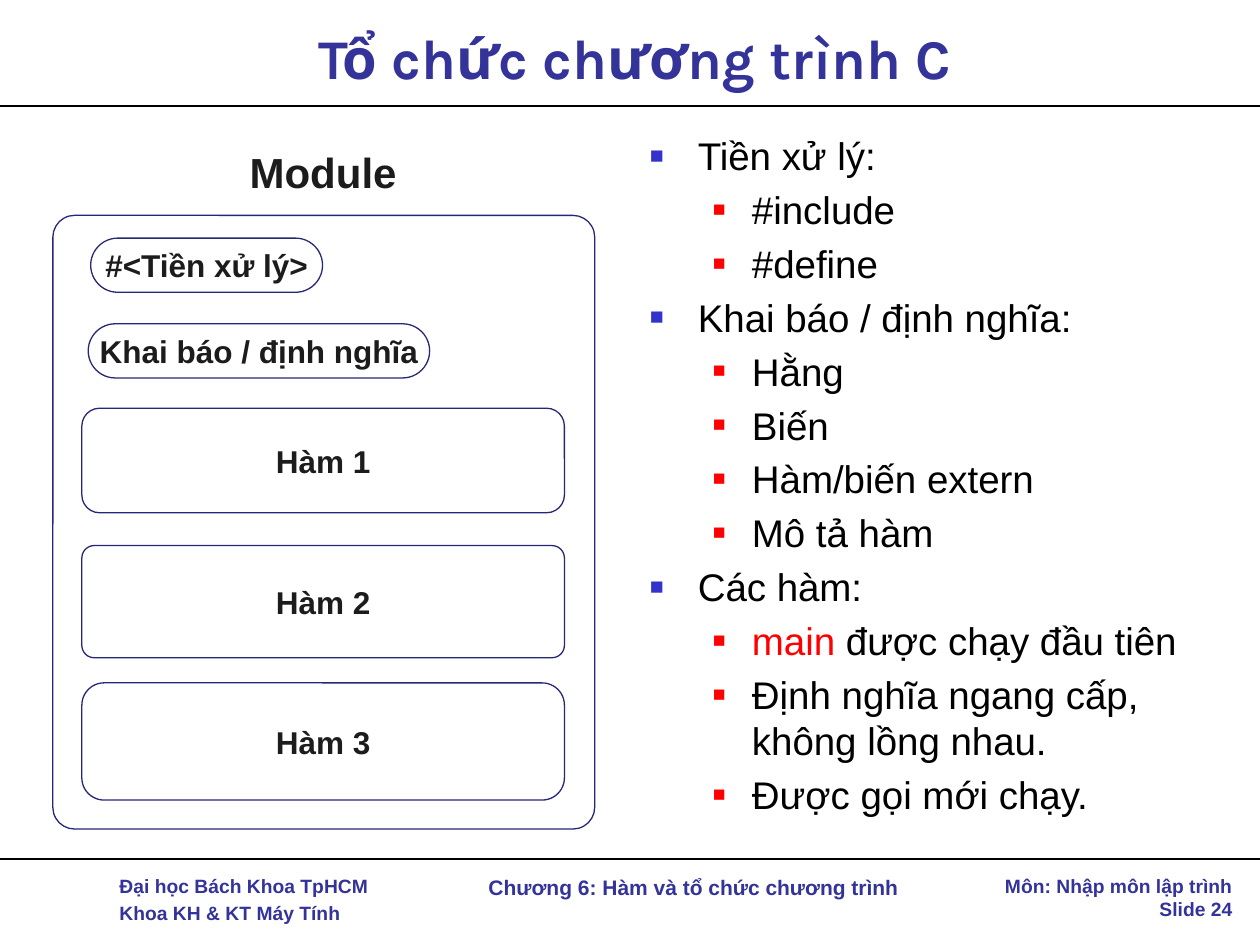
from dataclasses import dataclass

from lxml.etree import SubElement
from pptx import Presentation
from pptx.dml.color import RGBColor
from pptx.enum.shapes import MSO_CONNECTOR, MSO_SHAPE
from pptx.enum.text import MSO_ANCHOR as Anchor, PP_ALIGN as Align
from pptx.oxml.ns import qn
from pptx.util import Inches, Pt

NAVY = RGBColor(0x33, 0x33, 0x99)
OUTLINE = RGBColor(0x27, 0x27, 0x77)
CHARCOAL = RGBColor(0x1C, 0x1C, 0x1C)
BLUE = RGBColor(0x33, 0x33, 0xCC)
RED = RGBColor(0xFF, 0, 0)
BLACK = RGBColor(0, 0, 0)

PREPROCESSING = "Ti\u00ea\u0300n x\u01b0\u0309 ly\u0301"
DECLARATIONS = "Khai ba\u0301o / \u0111i\u0323nh nghi\u0303a"
FUNCTION = "Ha\u0300m"


@dataclass
class Label:
    text: str
    left: float
    top: float
    width: float
    height: float
    size: int
    align: Align = Align.CENTER
    font: str = "Arial"
    anchor: Anchor = Anchor.TOP
    gap: float = 0


@dataclass
class Block:
    text: str
    left: float
    top: float
    width: float
    height: float
    rounding: float
    size: int = 18
    outlined: bool = True


@dataclass
class Level:
    margin: float
    hanging: float
    color: RGBColor
    percent: int


@dataclass
class Point:
    text: str
    level: int = 1
    keyword: str = ""


LABELS = [
    Label("T\u00f4\u0309 ch\u01b0\u0301c ch\u01b0\u01a1ng tri\u0300nh C",
          0.33, 0.08, 9.42, 0.75, 32, font="Karla", anchor=Anchor.MIDDLE),
    Label("\u0110\u1ea1i h\u1ecdc B\u00e1ch Khoa TpHCM\nKhoa KH & KT M\u00e1y T\u00ednh",
          0.85, 6.89, 2.33, 0.51, 11, Align.LEFT, gap=2.2),
    Label("Ch\u01b0\u01a1ng 6: H\u00e0m v\u00e0 t\u1ed5 ch\u1ee9c ch\u01b0\u01a1ng tr\u00ecnh",
          3.18, 6.89, 4.65, 0.3, 12),
    Label("M\u00f4n: Nh\u1eadp m\u00f4n l\u1eadp tr\u00ecnh\nSlide 24",
          7.83, 6.89, 2.05, 0.47, 11, Align.RIGHT),
]

BLOCKS = [
    Block("", 0.42, 1.71, 4.3, 4.87, 0.04),
    Block("Module", 0.65, 1.08, 3.83, 0.57, 0.5, 24, False),
    Block(f"#<{PREPROCESSING}>", 0.72, 1.89, 1.84, 0.43, 0.5),
    Block(DECLARATIONS, 0.7, 2.57, 2.71, 0.43, 0.5),
    Block(f"{FUNCTION} 1", 0.65, 3.24, 3.83, 0.83, 0.17),
    Block(f"{FUNCTION} 2", 0.65, 4.33, 3.83, 0.89, 0.11),
    Block(f"{FUNCTION} 3", 0.65, 5.42, 3.83, 0.93, 0.19),
]

LEVELS = [Level(0.38, 0.38, BLUE, 60), Level(0.81, 0.31, RED, 55)]

POINTS = [
    Point(f"{PREPROCESSING}:", 0),
    Point("#include"),
    Point("#define"),
    Point(f"{DECLARATIONS}:", 0),
    Point("H\u0103\u0300ng"),
    Point("Bi\u00ea\u0301n"),
    Point(f"{FUNCTION}/bi\u00ea\u0301n extern"),
    Point("M\u00f4 ta\u0309 ha\u0300m"),
    Point("Ca\u0301c ha\u0300m:", 0),
    Point(" \u0111\u01b0\u01a1\u0323c cha\u0323y \u0111\u00e2\u0300u ti\u00ean", keyword="main"),
    Point("\u0110i\u0323nh nghi\u0303a ngang c\u00e2\u0301p, kh\u00f4ng l\u00f4\u0300ng nhau."),
    Point("\u0110\u01b0\u01a1\u0323c go\u0323i m\u01a1\u0301i cha\u0323y."),
]


def style(run, size: int, color: RGBColor, bold: bool = True, font: str = "Arial") -> None:
    run.font.size = Pt(size)
    run.font.name = font
    run.font.bold = bold
    run.font.color.rgb = color


def add_label(slide, label: Label) -> None:
    box = slide.shapes.add_textbox(Inches(label.left), Inches(label.top),
                                   Inches(label.width), Inches(label.height))
    frame = box.text_frame
    frame.word_wrap = True
    frame.vertical_anchor = label.anchor
    frame.text = label.text
    for index, paragraph in enumerate(frame.paragraphs):
        paragraph.alignment = label.align
        paragraph.space_before = Pt(label.gap if index else 0)
        style(paragraph.runs[0], label.size, NAVY, font=label.font)


def add_rule(slide, top: float) -> None:
    rule = slide.shapes.add_connector(MSO_CONNECTOR.STRAIGHT, 0, Inches(top),
                                      Inches(10), Inches(top))
    rule.line.color.rgb = BLACK
    rule.line.width = Pt(1)
    SubElement(rule._element.spPr, qn("a:effectLst"))


def add_block(slide, block: Block) -> None:
    box = slide.shapes.add_shape(MSO_SHAPE.ROUNDED_RECTANGLE,
                                 Inches(block.left), Inches(block.top),
                                 Inches(block.width), Inches(block.height))
    box.adjustments[0] = block.rounding
    box.shadow.inherit = False
    box.fill.background()
    if block.outlined:
        box.line.color.rgb = OUTLINE
        box.line.width = Pt(0.75)
    else:
        box.line.fill.background()
    if not block.text:
        return
    frame = box.text_frame
    frame.margin_left = frame.margin_right = frame.margin_top = frame.margin_bottom = 0
    frame.word_wrap = False
    frame.vertical_anchor = Anchor.MIDDLE
    frame.text = block.text
    paragraph = frame.paragraphs[0]
    paragraph.alignment = Align.CENTER
    style(paragraph.runs[0], block.size, CHARCOAL)


def set_bullet(paragraph, level: Level) -> None:
    properties = paragraph._p.get_or_add_pPr()
    properties.set("marL", str(Inches(level.margin)))
    properties.set("indent", str(-Inches(level.hanging)))
    color = SubElement(properties, qn("a:buClr"))
    SubElement(color, qn("a:srgbClr"), val=str(level.color))
    SubElement(properties, qn("a:buSzPct"), val=str(level.percent * 1000))
    SubElement(properties, qn("a:buFont"), typeface="Arial")
    SubElement(properties, qn("a:buChar"), char="\u25a0")


def add_outline(slide, points: list[Point]) -> None:
    box = slide.shapes.add_textbox(Inches(5.06), Inches(1), Inches(4.78), Inches(5.67))
    frame = box.text_frame
    frame.word_wrap = True
    for index, point in enumerate(points):
        paragraph = frame.add_paragraph() if index else frame.paragraphs[0]
        paragraph.level = point.level
        paragraph.space_before = Pt(4.4)
        set_bullet(paragraph, LEVELS[point.level])
        for text, color in ((point.keyword, RED), (point.text, BLACK)):
            if text:
                run = paragraph.add_run()
                run.text = text
                style(run, 22, color, bold=False)


def main() -> None:
    deck = Presentation()
    deck.slide_width = Inches(10)
    deck.slide_height = Inches(7.5)
    slide = deck.slides.add_slide(deck.slide_layouts[6])
    for top in (0.84, 6.82):
        add_rule(slide, top)
    for label in LABELS:
        add_label(slide, label)
    add_outline(slide, POINTS)
    for block in BLOCKS:
        add_block(slide, block)
    deck.save("out.pptx")


main()
